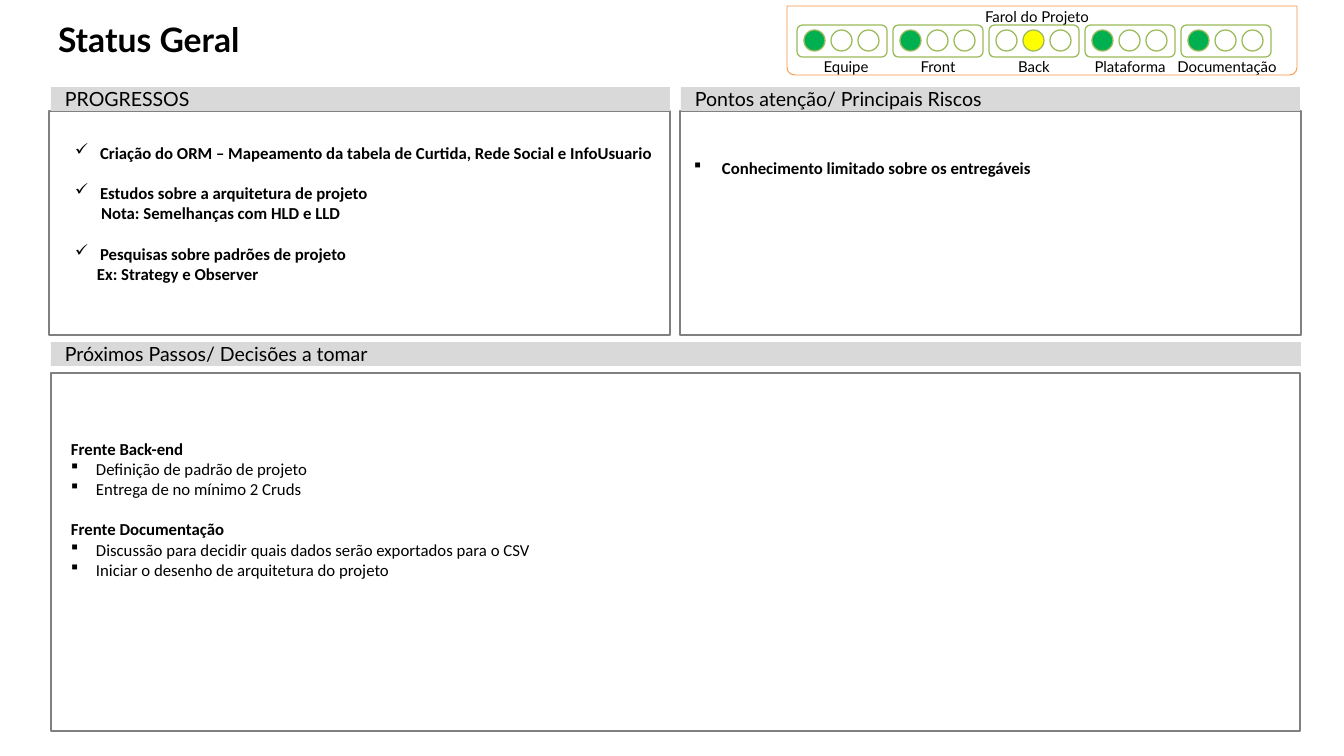
import dataclasses
import lxml.etree
import pptx
import pptx.dml.color
import pptx.enum.shapes
import pptx.enum.text
import pptx.oxml.ns
import pptx.util

PX = 10004  # EMU per pixel
KIND = pptx.enum.shapes.MSO_SHAPE
ANCHOR = pptx.enum.text.MSO_ANCHOR
ALIGN = pptx.enum.text.PP_ALIGN


@dataclasses.dataclass(frozen=True)
class Theme:
    """Colours, fonts and type sizes of the slide."""
    black: str = "000000"
    white: str = "FFFFFF"
    gray: str = "808080"
    band: str = "D9D9D9"
    orange: str = "F79646"
    olive: str = "9BBB59"
    green: str = "00B050"
    yellow: str = "FFFF00"
    head: str = "Lato"
    body: str = "Calibri"
    marks: str = "Wingdings"
    title: float = 26.5
    bar: float = 15.4
    item: float = 13.2
    label: float = 11.8
    gap: float = 16


THEME = Theme()


def draw(shapes, kind, rect, fill=None, line=None, width=1):
    """Add a preset shape, or a text box when kind is None; rect is in pixels."""
    place = [v * PX for v in rect]
    if kind is None:
        return shapes.add_textbox(*place)
    shape = shapes.add_shape(kind, *place)
    shape.shadow.inherit = False
    if fill:
        shape.fill.solid()
        shape.fill.fore_color.rgb = pptx.dml.color.RGBColor.from_string(fill)
    else:
        shape.fill.background()
    if line:
        shape.line.color.rgb = pptx.dml.color.RGBColor.from_string(line)
        shape.line.width = pptx.util.Pt(width)
    else:
        shape.line.fill.background()
    return shape


def write(par, text, size, font, bold=False, align=ALIGN.LEFT):
    """Add one run of black text to a paragraph."""
    par.alignment = align
    run = par.add_run()
    run.text = text
    run.font.size = pptx.util.Pt(size)
    run.font.name = font
    run.font.bold = bold
    run.font.color.rgb = pptx.dml.color.RGBColor.from_string(THEME.black)


deck = pptx.Presentation()
deck.slide_width, deck.slide_height = 1344 * PX, 756 * PX
slide = deck.slides.add_slide(deck.slide_layouts[5])
shapes = slide.shapes

# Title
title = shapes.title
title.left, title.top, title.width, title.height = [v * PX for v in (47, 19, 1209, 80)]
frame = title.text_frame
frame.auto_size = pptx.enum.text.MSO_AUTO_SIZE.NONE
frame.vertical_anchor = ANCHOR.TOP
frame.margin_left = frame.margin_right = 11 * PX
frame.margin_top = frame.margin_bottom = 0
write(frame.paragraphs[0], "Status Geral", THEME.title, THEME.head, True)
frame.paragraphs[0].space_after = pptx.util.Pt(8.8)

# Panels, then the header bars over their edges
for rect in ((49, 111, 621, 224), (680, 111, 621, 224), (51, 373, 1249, 358)):
    draw(shapes, KIND.RECTANGLE, rect, line=THEME.gray)

for text, left, top, width in (
    ("PROGRESSOS", 51, 87, 619),
    ("Pontos atenção/ Principais Riscos", 681, 87, 619),
    ("Próximos Passos/ Decisões a tomar", 51, 342, 1250),
):
    bar = draw(shapes, KIND.RECTANGLE, (left, top, width, 24), THEME.band)
    frame = bar.text_frame
    frame.vertical_anchor = ANCHOR.MIDDLE
    frame.margin_left = frame.margin_right = 14 * PX
    frame.margin_top = frame.margin_bottom = 0
    write(frame.paragraphs[0], text, THEME.bar, THEME.head)

# Project lights
board = draw(shapes, KIND.ROUND_2_SAME_RECTANGLE, (787, 6, 510, 69),
             line=THEME.orange, width=0.75)
board.rotation = 180
board.adjustments[0], board.adjustments[1] = 0.11, 0

labels = [("Farol do Projeto", 1037, 8)]
for col, (name, lit, color, shift) in enumerate((
    ("Equipe", 0, THEME.green, 4),
    ("Front", 0, THEME.green, 0),
    ("Back", 1, THEME.yellow, 0),
    ("Plataforma", 0, THEME.green, 0),
    ("Documentação", 0, THEME.green, 1),
)):
    left = 797 + 96 * col
    group = shapes.add_group_shape()
    draw(group.shapes, KIND.ROUNDED_RECTANGLE, (left, 25, 90, 32),
         THEME.white, THEME.olive)
    for lamp in range(3):
        draw(group.shapes, KIND.OVAL, (left + 7 + 27 * lamp, 30, 21, 21),
             color if lamp == lit else THEME.white, THEME.olive)
    labels.append((name, left + 45 + shift, 58))

for text, mid, top in labels:
    frame = draw(shapes, None, (mid - 60, top, 120, 18)).text_frame
    frame.word_wrap = True
    frame.vertical_anchor = ANCHOR.BOTTOM
    frame.margin_left = frame.margin_right = 0
    frame.margin_top = frame.margin_bottom = 0
    write(frame.paragraphs[0], text, THEME.label, THEME.head, align=ALIGN.CENTER)

# Lists: mark (a Wingdings code), text, bold, indent in pixels, gap above
CHECK, SQUARE = "ü", "§"
LISTS = (
    ((66, 138, 602, 184), (
        (CHECK, "Criação do ORM – Mapeamento da tabela de Curtida, Rede Social e InfoUsuario",
         True, 25, False),
        (CHECK, "Estudos sobre a arquitetura de projeto", True, 25, True),
        (None, "Nota: Semelhanças com HLD e LLD", True, 26, False),
        (CHECK, "Pesquisas sobre padrões de projeto", True, 25, True),
        (None, "Ex: Strategy e Observer", True, 22, False),
    )),
    ((685, 153, 616, 29), (
        (SQUARE, "Conhecimento limitado sobre os entregáveis", True, 28, False),
    )),
    ((62, 434, 482, 184), (
        (None, "Frente Back-end", True, 0, False),
        (SQUARE, "Definição de padrão de projeto", False, 25, False),
        (SQUARE, "Entrega de no mínimo 2 Cruds", False, 25, False),
        (None, "Frente Documentação", True, 0, True),
        (SQUARE, "Discussão para decidir quais dados serão exportados para o CSV",
         False, 25, False),
        (SQUARE, "Iniciar o desenho de arquitetura do projeto", False, 25, False),
    )),
)
for rect, items in LISTS:
    frame = draw(shapes, None, rect).text_frame
    frame.word_wrap = True
    frame.margin_right = 0
    for row, (mark, text, bold, indent, gap) in enumerate(items):
        par = frame.add_paragraph() if row else frame.paragraphs[0]
        write(par, text, THEME.item, THEME.body, bold)
        if gap:
            par.space_before = pptx.util.Pt(THEME.gap)
        props = par._p.get_or_add_pPr()
        props.set("marL", str(indent * PX))
        props.set("indent", str(-indent * PX if mark else 0))
        if mark:
            for tag, key, value in (("a:buFont", "typeface", THEME.marks),
                                    ("a:buChar", "char", mark)):
                part = lxml.etree.SubElement(props, pptx.oxml.ns.qn(tag))
                part.set(key, value)

deck.save("out.pptx")
